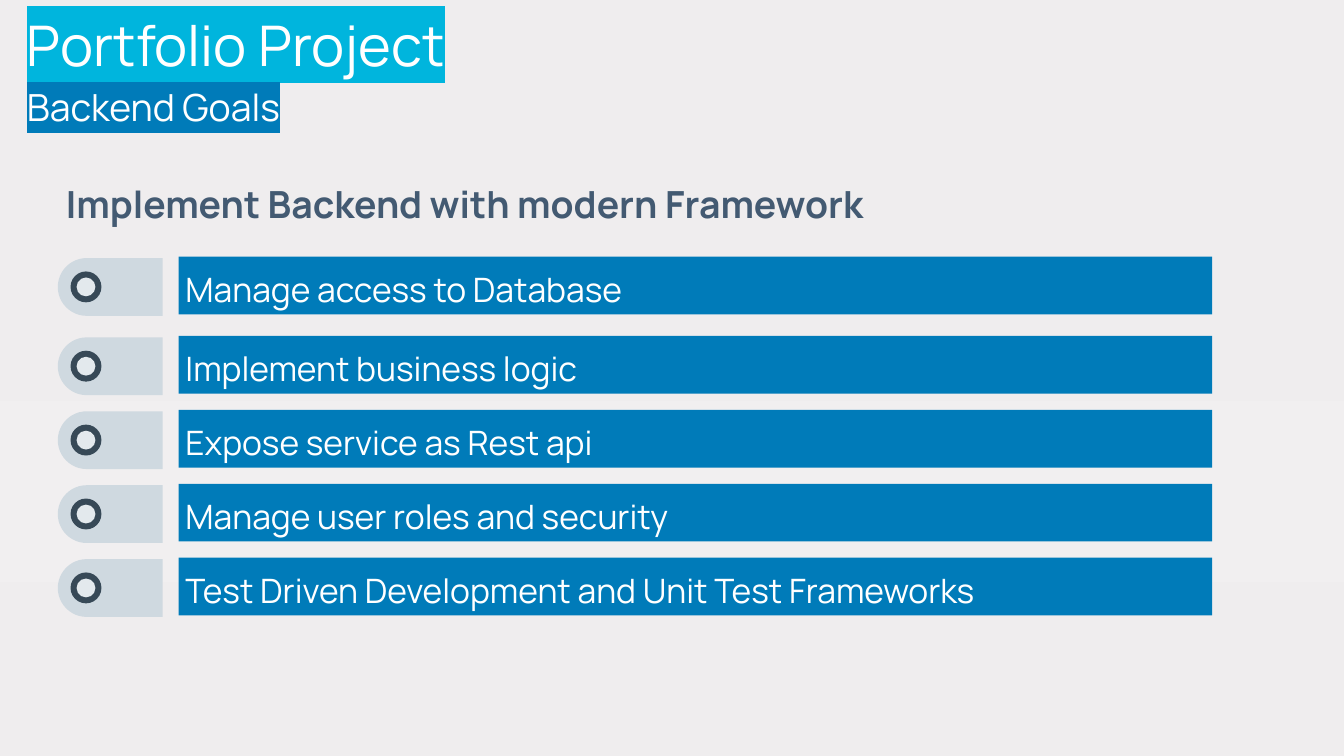
from lxml import etree
from pptx import Presentation
from pptx.dml.color import RGBColor
from pptx.enum import shapes, text
from pptx.oxml import ns
from pptx.util import Inches, Pt

FONT = "Manrope"
WHITE, CYAN, BLUE, SLATE = "FFFFFF", "00B5DD", "007BB9", "435A72"
TAB, RING, HOLE = "CFD9E0", "374957", "E3E9ED"
BACKDROP = [(0, "EFEDEE"), (53, "F1EFF0"), (77, "EFEDEE"), (100, "EFEBEC")]
GOALS = [
    "Manage access to Database",
    "Implement business logic",
    "Expose service as Rest api",
    "Manage user roles and security",
    "Test Driven Development and Unit Test Frameworks",
]


def rgb(value):
    return RGBColor.from_string(value)


def add_colour(parent, value):
    etree.SubElement(parent, ns.qn("a:srgbClr"), val=value)


def paint_background(slide, stops):
    """Fill the slide with a gradient running from top to bottom."""
    fill = slide.background.fill
    fill.gradient()
    fill.gradient_angle = 270
    stop_list = slide._element.find(".//" + ns.qn("a:gsLst"))
    for stop in list(stop_list):
        stop_list.remove(stop)
    for percent, colour in stops:
        add_colour(etree.SubElement(stop_list, ns.qn("a:gs"), pos=str(percent * 1000)), colour)


def set_frame(frame, anchor, left_inset=0.0):
    frame.word_wrap = True
    frame.vertical_anchor = anchor
    frame.margin_left = Inches(left_inset)
    frame.margin_top = frame.margin_right = frame.margin_bottom = 0


def write(paragraph, wording, size, colour, spacing, bold=False):
    run = paragraph.add_run()
    run.text = wording
    paragraph.alignment = text.PP_ALIGN.LEFT
    paragraph.line_spacing = spacing
    font = paragraph.font
    font.name, font.size, font.bold = FONT, Pt(size), bold
    font.color.rgb = rgb(colour)
    return run


def add_label(slide, wording, left, top, width, height, size, colour, inset=0.0, bold=False):
    label = slide.shapes.add_textbox(Inches(left), Inches(top), Inches(width), Inches(height))
    set_frame(label.text_frame, text.MSO_ANCHOR.MIDDLE, inset)
    write(label.text_frame.paragraphs[0], wording, size, colour, 1.1, bold)


def add_plain(slide, kind, left, top, width, height, colour):
    shape = slide.shapes.add_shape(kind, Inches(left), Inches(top), Inches(width), Inches(height))
    shape.shadow.inherit = False
    shape.fill.solid()
    shape.fill.fore_color.rgb = rgb(colour)
    shape.line.fill.background()
    return shape


def add_title(slide, left, top, width, height):
    title = slide.shapes.title
    title.left, title.top = Inches(left), Inches(top)
    title.width, title.height = Inches(width), Inches(height)
    frame = title.text_frame
    set_frame(frame, text.MSO_ANCHOR.TOP)
    lines = [("Portfolio Project", 30, CYAN), ("Backend Goals", 20, BLUE)]
    for index, (wording, size, marker) in enumerate(lines):
        paragraph = frame.add_paragraph() if index else frame.paragraphs[0]
        run = write(paragraph, wording, size, WHITE, 1.15)
        properties = run._r.get_or_add_rPr()
        add_colour(etree.SubElement(properties, ns.qn("a:highlight")), marker)


def add_marker(slide, left, top, width, height):
    """Draw a tab rounded on its left side, with a ring in it."""
    # The tab is laid out upright and turned about its centre.
    tab = add_plain(slide, shapes.MSO_SHAPE.ROUND_2_SAME_RECTANGLE,
                    left + (width - height) / 2, top + (height - width) / 2,
                    height, width, TAB)
    tab.adjustments[0] = 0.5
    tab.rotation = 270
    for diameter, colour in [(0.23, RING), (0.14, HOLE)]:
        add_plain(slide, shapes.MSO_SHAPE.OVAL, left + 0.21 - diameter / 2,
                  top + (height - diameter) / 2, diameter, diameter, colour)


def add_goal(slide, wording, left, top, width, height):
    add_plain(slide, shapes.MSO_SHAPE.RECTANGLE, left + 0.9, top, width - 0.9, height, BLUE)
    add_label(slide, wording, left + 0.95, top + 0.01, width - 1.11, height, 18, WHITE)
    add_marker(slide, left, top + 0.01, 0.78, height)


def add_goals(slide, left, top, width):
    """Stack the goals evenly, with a slightly wider gap after the first."""
    for index, wording in enumerate(GOALS):
        lead = 0.04 if index else 0
        add_goal(slide, wording, left, top + 0.55 * index + lead, width, 0.43)


def main():
    deck = Presentation()
    deck.slide_width = Inches(10)
    deck.slide_height = deck.slide_width * 9 // 16
    slide = deck.slides.add_slide(deck.slide_layouts.get_by_name("Title Only"))
    paint_background(slide, BACKDROP)
    add_title(slide, 0.2, 0, 5.83, 1.11)
    add_label(slide, "Implement Backend with modern Framework",
              0.43, 1.28, 6.61, 0.43, 20, SLATE, inset=0.06, bold=True)
    add_goals(slide, 0.43, 1.91, 8.59)
    deck.save("out.pptx")


if __name__ == "__main__":
    main()
